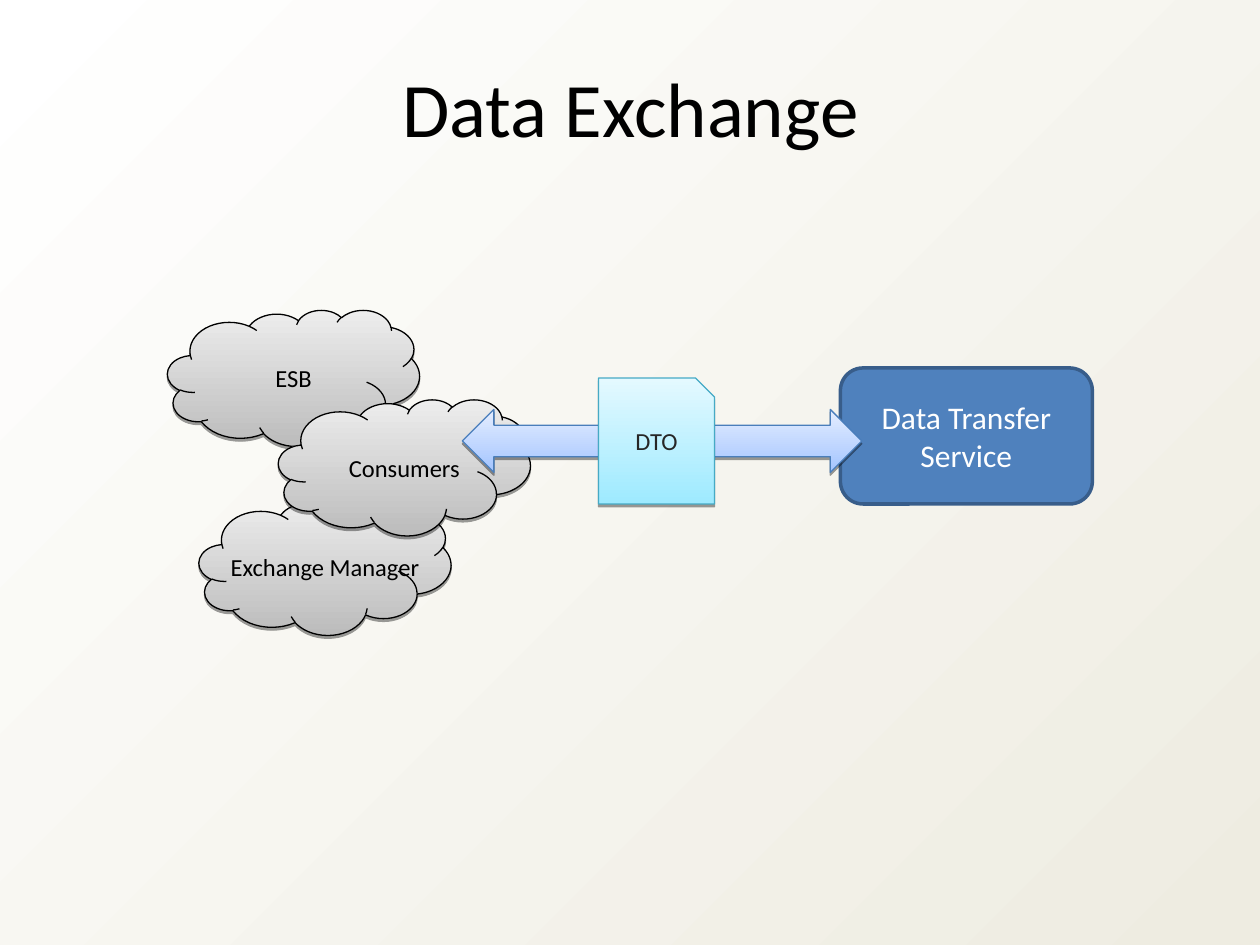
from lxml.etree import SubElement
from pptx import Presentation
from pptx.dml.color import RGBColor
from pptx.enum.shapes import MSO_SHAPE as Preset
from pptx.enum.text import MSO_ANCHOR as Anchor, PP_ALIGN as Align
from pptx.oxml.ns import qn
from pptx.util import Inches, Pt

FONT = "Calibri"
COLORS = {
    "black": "000000", "white": "FFFFFF", "cream": "EEECE1",
    "service": "4F81BD", "service_line": "385D8A",
    "cloud_low": "BCBCBC", "cloud_high": "EDEDED",
    "arrow_low": "A3C4FF", "arrow_high": "E5EEFF", "arrow_line": "4A7EBB",
    "dto_low": "9EEAFF", "dto_high": "E4F9FF", "dto_line": "46AAC5",
    "dto_text": "262626",
}
CLOUD_SIZE = (2, 1.08)
CLOUDS = [("ESB", 1.33, 2.46), ("Exchange Manager", 1.58, 3.96),
          ("Consumers", 2.21, 3.17)]


def rgb(name):
    return RGBColor.from_string(COLORS[name])


def set_gradient(fill, first, last, angle):
    fill.gradient()
    fill.gradient_angle = angle
    for stop, name in zip(fill.gradient_stops, (first, last)):
        stop.color.rgb = rgb(name)


def set_line(shape, color, width):
    shape.line.color.rgb = rgb(color)
    shape.line.width = Pt(width)


def set_text(shape, text, size, color, anchor=Anchor.MIDDLE):
    frame = shape.text_frame
    frame.text = text
    frame.word_wrap = True
    frame.vertical_anchor = anchor
    for para in frame.paragraphs:
        para.alignment = Align.CENTER
        for span in para.runs:
            span.font.name = FONT
            span.font.size = Pt(size)
            span.font.color.rgb = rgb(color)


def add_drop_shadow(shape):
    shape.shadow.inherit = False
    effects = shape._element.spPr.find(qn("a:effectLst"))
    outer = SubElement(effects, qn("a:outerShdw"), blurRad="0",
                       dist=str(Pt(1.6)), dir="5400000", rotWithShape="0")
    color = SubElement(outer, qn("a:srgbClr"), val=COLORS["black"])
    SubElement(color, qn("a:alpha"), val="38000")


def style_raised(shape, low, high, line):
    set_gradient(shape.fill, low, high, 90)
    set_line(shape, line, 0.75)
    add_drop_shadow(shape)


def add_preset(page, preset, left, top, width, height):
    return page.shapes.add_shape(preset, Inches(left), Inches(top),
                                 Inches(width), Inches(height))


def add_title(page, text):
    box = page.shapes.add_textbox(Inches(0.17), Inches(0.43),
                                  Inches(9.67), Inches(0.84))
    set_text(box, text, 44, "black", Anchor.TOP)


def add_service(page, text):
    service = add_preset(page, Preset.ROUNDED_RECTANGLE, 6.67, 2.92, 2, 1.08)
    service.shadow.inherit = False
    service.fill.solid()
    service.fill.fore_color.rgb = rgb("service")
    set_line(service, "service_line", 2)
    set_text(service, text, 18, "white")


def add_cloud(page, text, left, top):
    cloud = add_preset(page, Preset.CLOUD, left, top, *CLOUD_SIZE)
    style_raised(cloud, "cloud_low", "cloud_high", "black")
    set_text(cloud, text, 14, "black")
    # The preset's text area sits up and left of centre
    frame = cloud.text_frame
    frame.word_wrap = False
    frame.margin_left = Inches(0.24)
    frame.margin_top = Inches(0.1)


def add_exchange_arrow(page):
    arrow = add_preset(page, Preset.LEFT_RIGHT_ARROW, 3.67, 3.25, 3.17, 0.5)
    style_raised(arrow, "arrow_low", "arrow_high", "arrow_line")


def add_dto(page, text):
    left, top, right, bottom, snip = 4.75, 3, 5.67, 4, 0.15
    corners = [(right - snip, top), (right, top + snip),
               (right, bottom), (left, bottom)]
    builder = page.shapes.build_freeform(Inches(left), Inches(top))
    builder.add_line_segments([(Inches(x), Inches(y)) for x, y in corners])
    document = builder.convert_to_shape()
    style_raised(document, "dto_low", "dto_high", "dto_line")
    set_text(document, text, 14, "dto_text")


def main():
    deck = Presentation()
    deck.slide_width, deck.slide_height = Inches(10), Inches(7.5)
    page = deck.slides.add_slide(deck.slide_layouts[6])
    set_gradient(page.background.fill, "white", "cream", 315)

    add_title(page, "Data Exchange")

    # Both ends of the exchange
    add_service(page, "Data Transfer\vService")
    for text, left, top in CLOUDS:
        add_cloud(page, text, left, top)

    # The object passed between them
    add_exchange_arrow(page)
    add_dto(page, "DTO")

    deck.save("out.pptx")


if __name__ == "__main__":
    main()
